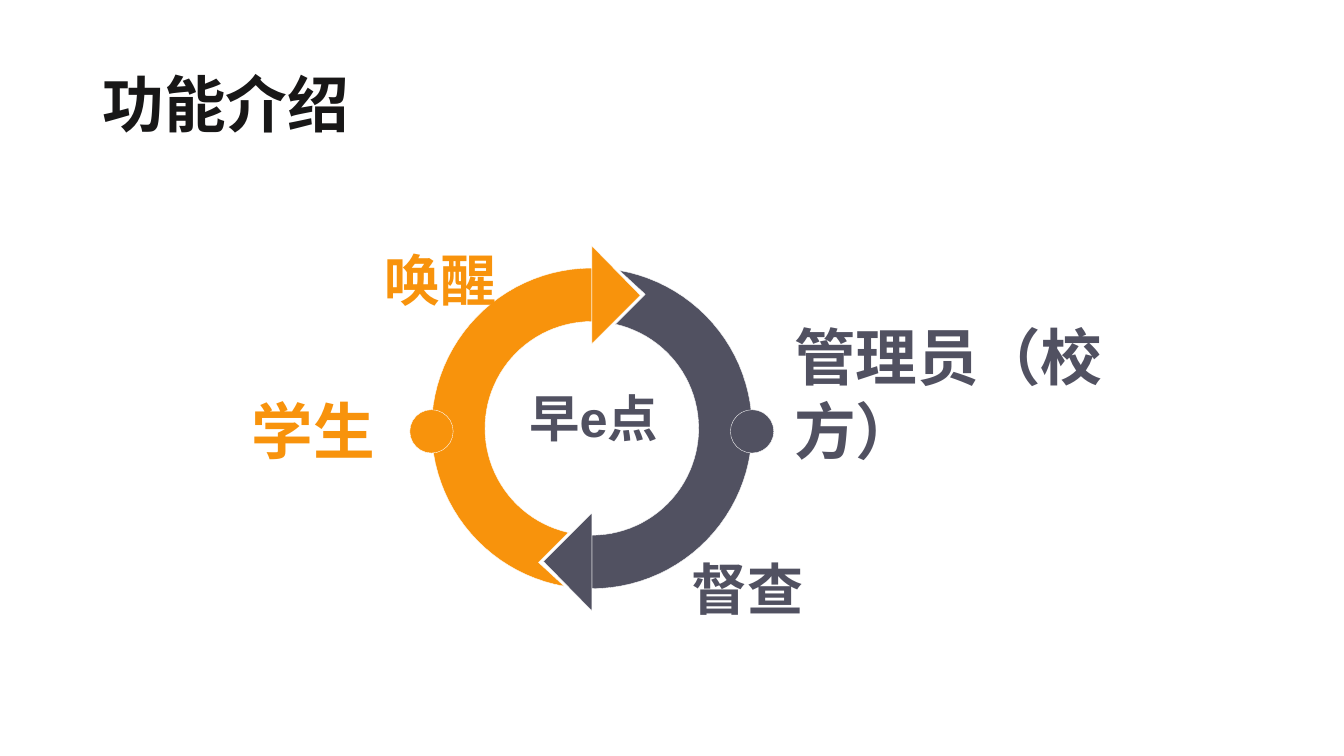
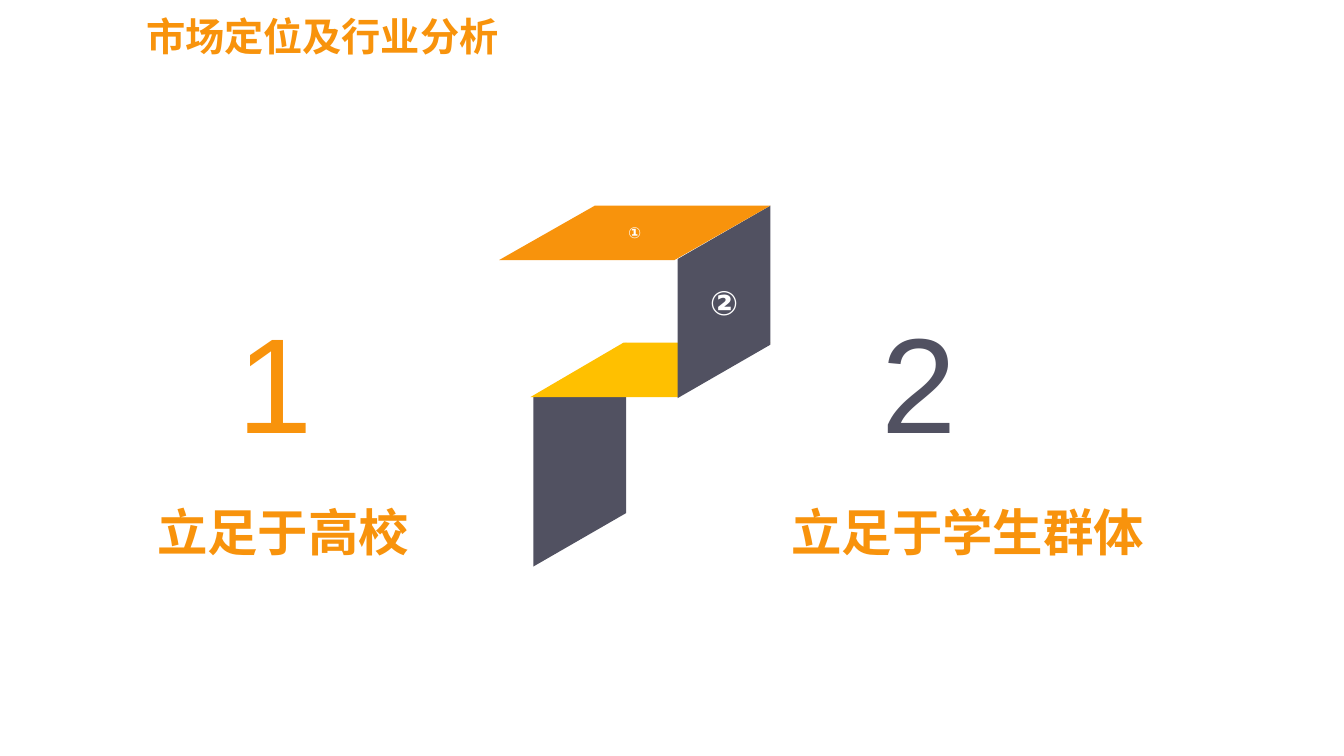
from math import cos, radians, sin

from pptx import Presentation
from pptx.dml.color import RGBColor
from pptx.enum.shapes import MSO_SHAPE
from pptx.enum.text import MSO_ANCHOR, PP_ALIGN
from pptx.util import Inches, Pt

ORANGE = RGBColor(0xF8, 0x93, 0x0C)
SLATE = RGBColor(0x51, 0x51, 0x61)
YELLOW = RGBColor(0xFF, 0xC0, 0x00)
INK = RGBColor(0x18, 0x17, 0x17)
WHITE = RGBColor(0xFF, 0xFF, 0xFF)
FONT = "Arial"

TOP, MIDDLE, BOTTOM = MSO_ANCHOR.TOP, MSO_ANCHOR.MIDDLE, MSO_ANCHOR.BOTTOM
LEFT, CENTER, RIGHT = PP_ALIGN.LEFT, PP_ALIGN.CENTER, PP_ALIGN.RIGHT
OVAL, PARALLELOGRAM = MSO_SHAPE.OVAL, MSO_SHAPE.PARALLELOGRAM

# Labels: text, (left, top, width, height), size, colour, align
CYCLE_TITLE = ("功能介绍", (0.92, 0.54, 8.78, 1.06), 44, INK, LEFT)
CYCLE_LABELS = [
    ("学生", (0.33, 3.87, 3.49, 0.81), 44, ORANGE, RIGHT),
    ("管理员（校方）", (7.78, 3.87, 4.36, 0.81), 44, SLATE, LEFT),
    ("唤醒", (3.53, 2.34, 1.49, 0.81), 40, ORANGE, RIGHT),
    ("督查", (6.76, 5.36, 3.48, 0.86), 40, SLATE, LEFT),
    ("早e点", (5.15, 3.68, 1.61, 0.81), 36, SLATE, LEFT),
]
MARKET_TITLE = ("市场定位及行业分析", (1.35, 0.07, 3.79, 0.81), 28, ORANGE, LEFT)
MARKET_NUMBERS = [
    ("1", (2.26, 2.78, 0.76, 2.42), 96.6, ORANGE, LEFT),
    ("2", (8.64, 2.78, 0.76, 2.42), 96.6, SLATE, LEFT),
]
MARKET_POINTS = [
    ("立足于高校", (1.46, 4.87, 2.85, 0.77), 36, ORANGE, LEFT),
    ("立足于学生群体", (7.75, 4.87, 4.46, 0.89), 36, ORANGE, LEFT),
]

# Ring geometry; offsets are from the ring centre
RING_X, RING_Y = 5.87, 4.25
OUTER, INNER = 1.59, 1.06
NOTCH = [(0.28, -1.56), (0.53, -1.33), (0.23, -1.03)]
NOTCH_OUTER_ANGLE, NOTCH_INNER_ANGLE = -80, -77
ARROWHEAD = [(0, -1.81), (0.48, -1.32), (0, -0.84)]
DOT, DOT_Y = 0.43, 4.28
HALVES = [(SLATE, 1), (ORANGE, -1)]  # the second half is turned by 180 degrees

# Folded ribbon geometry
PANEL_WIDTH, FOLD = 0.92, 0.53


def set_text(shape, text, size, color, align, bold=True):
    paragraph = shape.text_frame.paragraphs[0]
    paragraph.text = text
    paragraph.alignment = align
    font = paragraph.font
    font.name, font.size, font.bold = FONT, Pt(size), bold
    font.color.rgb = color
    return paragraph


def add_label(slide, label, anchor, bold=True, top_margin=0.05):
    text, box, size, color, align = label
    shape = slide.shapes.add_textbox(*map(Inches, box))
    frame = shape.text_frame
    frame.word_wrap = True
    frame.vertical_anchor = anchor
    frame.margin_top = Inches(top_margin)
    return set_text(shape, text, size, color, align, bold)


def paint(shape, color, outlined):
    shape.shadow.inherit = False
    shape.fill.solid()
    shape.fill.fore_color.rgb = color
    if outlined:
        shape.line.color.rgb = WHITE
        shape.line.width = Pt(0.25)
    else:
        shape.line.fill.background()
    return shape


def add_polygon(slide, points, color, outlined=False):
    corners = [(Inches(x), Inches(y)) for x, y in points]
    builder = slide.shapes.build_freeform(*corners[0])
    builder.add_line_segments(corners[1:], close=True)
    return paint(builder.convert_to_shape(), color, outlined)


def add_preset(slide, kind, box, color, outlined=False):
    return paint(slide.shapes.add_shape(kind, *map(Inches, box)), color, outlined)


def arc(radius, start, end, steps=48):
    angles = [radians(start + (end - start) * i / steps) for i in range(steps + 1)]
    return [(radius * cos(a), radius * sin(a)) for a in angles]


def around_ring(offsets, turn):
    return [(RING_X + turn * x, RING_Y + turn * y) for x, y in offsets]


def add_panel(slide, left, top, edge):
    """Upright ribbon face whose right side is raised by FOLD."""
    right = left + PANEL_WIDTH
    points = [(right, top), (right, top + edge),
              (left, top + edge + FOLD), (left, top + FOLD)]
    return add_polygon(slide, points, SLATE)


def add_flap(slide, left, width, top, slant, color):
    flap = add_preset(slide, PARALLELOGRAM, (left, top, width, 0.54), color)
    flap.adjustments[0] = slant
    return flap


def build_cycle(slide):
    title = add_label(slide, CYCLE_TITLE, MIDDLE)
    title.line_spacing = 0.9
    band = (arc(OUTER, 90, NOTCH_OUTER_ANGLE) + NOTCH
            + arc(INNER, NOTCH_INNER_ANGLE, 90))
    for color, turn in HALVES:
        add_polygon(slide, around_ring(band, turn), color, outlined=True)
        # Each arrowhead closes the start of its own band
        add_polygon(slide, around_ring(ARROWHEAD, -turn), color, outlined=True)
    for color, turn in HALVES:
        left = RING_X + turn * OUTER - DOT / 2
        add_preset(slide, OVAL, (left, DOT_Y - DOT / 2, DOT, DOT), color, outlined=True)
    for label in CYCLE_LABELS:
        add_label(slide, label, BOTTOM)


def build_market(slide):
    add_panel(slide, 5.29, 3.4, 1.69)
    add_flap(slide, 5.26, 2.38, 3.4, 1.71, YELLOW)
    add_label(slide, MARKET_TITLE, TOP)
    for number in MARKET_NUMBERS:
        add_label(slide, number, TOP, bold=False, top_margin=0.18)
    for point in MARKET_POINTS:
        add_label(slide, point, TOP, top_margin=0.1)
    second = add_panel(slide, 6.72, 2.04, 1.38)
    first = add_flap(slide, 4.95, 2.69, 2.04, 1.76, ORANGE)
    for face, mark, size in [(second, "②", 24), (first, "①", 10.8)]:
        face.text_frame.vertical_anchor = MIDDLE
        set_text(face, mark, size, WHITE, CENTER)


def main():
    deck = Presentation()
    deck.slide_width, deck.slide_height = Inches(13.33), Inches(7.5)
    for build in (build_cycle, build_market):
        build(deck.slides.add_slide(deck.slide_layouts[6]))
    deck.save("out.pptx")


if __name__ == "__main__":
    main()
